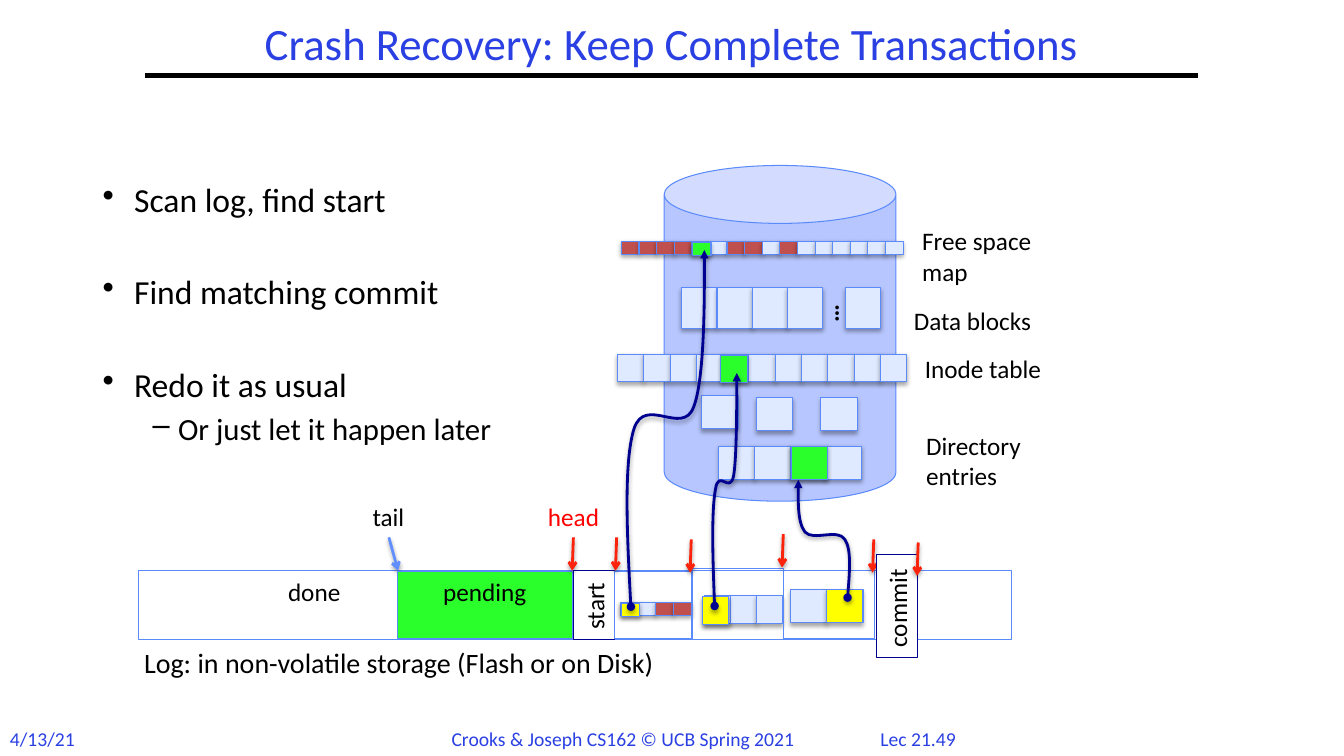
from lxml import etree
from pptx import Presentation
from pptx.dml.color import RGBColor
from pptx.enum.shapes import MSO_CONNECTOR, MSO_SHAPE
from pptx.enum.text import MSO_ANCHOR, PP_ALIGN
from pptx.oxml.ns import qn
from pptx.util import Cm, Pt

RECT, CAN = MSO_SHAPE.RECTANGLE, MSO_SHAPE.CAN
STRAIGHT = MSO_CONNECTOR.STRAIGHT
LEFT, CENTER = PP_ALIGN.LEFT, PP_ALIGN.CENTER
MIDDLE = MSO_ANCHOR.MIDDLE

BLACK = RGBColor(0x00, 0x00, 0x00)
WHITE = RGBColor(0xFF, 0xFF, 0xFF)
TITLE_BLUE = RGBColor(0x2A, 0x40, 0xE2)
DISK_BLUE = RGBColor(0xB7, 0xC6, 0xFE)
EDGE_BLUE = RGBColor(0x5B, 0x8A, 0xFB)
TAIL_BLUE = RGBColor(0x61, 0x8F, 0xFD)
NAVY = RGBColor(0x00, 0x00, 0x90)
PALE = RGBColor(0xDF, 0xE9, 0xFF)
BRICK = RGBColor(0xC0, 0x50, 0x4D)
GREEN = RGBColor(0x2B, 0xFF, 0x2B)
YELLOW = RGBColor(0xFF, 0xFF, 0x00)
RED = RGBColor(0xFF, 0x00, 0x00)
ARROW_RED = RGBColor(0xFC, 0x23, 0x0C)


def write(tf, text, size=18, color=BLACK, bold=False, align=LEFT, wrap=False, spacing=None):
    tf.word_wrap = wrap
    for i, line in enumerate(text.split("\n")):
        p = tf.add_paragraph() if i else tf.paragraphs[0]
        p.alignment = align
        p.line_spacing = spacing
        r = p.add_run()
        r.text = line
        r.font.name = "Calibri"
        r.font.size = Pt(size)
        r.font.bold = bold
        r.font.color.rgb = color


def add_label(sp, text, left, top, width, height=1.02, rotation=0, **fmt):
    s = sp.add_textbox(Cm(left), Cm(top), Cm(width), Cm(height))
    s.rotation = rotation
    write(s.text_frame, text, **fmt)
    return s


def add_shadow(s):
    spPr = s._element.spPr
    effects = spPr.find(qn("a:effectLst"))
    if effects is None:
        effects = etree.SubElement(spPr, qn("a:effectLst"))
    shadow = etree.SubElement(effects, qn("a:outerShdw"), blurRad="40000",
                              dist="23000", dir="5400000", rotWithShape="0")
    color = etree.SubElement(shadow, qn("a:srgbClr"), val=str(BLACK))
    etree.SubElement(color, qn("a:alpha"), val="35000")


def add_box(sp, left, top, width, height, fill=None, line=EDGE_BLUE, kind=RECT):
    s = sp.add_shape(kind, Cm(left), Cm(top), Cm(width), Cm(height))
    s.shadow.inherit = False
    if fill is None:
        s.fill.background()
    else:
        s.fill.solid()
        s.fill.fore_color.rgb = fill
    s.line.color.rgb = line
    s.line.width = Pt(0.75)
    return s


def add_cell(sp, left, top, width, height, fill=PALE):
    add_shadow(add_box(sp, left, top, width, height, fill))


def add_row(sp, left, top, width, height, fills):
    step = width / len(fills)
    for i, fill in enumerate(fills):
        add_cell(sp, left + i * step, top, step, height, fill)


def add_tag(sp, text, left, top, width):
    s = add_box(sp, left, top, width, 1.02, WHITE, NAVY)
    s.rotation = 270
    write(s.text_frame, text)


def set_ends(s, **ends):
    ln = s.line._get_or_add_ln()
    for name, kind in ends.items():
        etree.SubElement(ln, qn(f"a:{name}"), type=kind)


def add_line(sp, x1, y1, x2, y2, color, width):
    s = sp.add_connector(STRAIGHT, Cm(x1), Cm(y1), Cm(x2), Cm(y2))
    s.line.color.rgb = color
    s.line.width = Pt(width)
    etree.SubElement(s._element.spPr, qn("a:effectLst"))
    return s


def add_arrow(sp, x, y, dx=-0.03, color=ARROW_RED):
    s = add_line(sp, x, y, x + dx, y + 0.84, color, 2)
    set_ends(s, tailEnd="arrow")
    add_shadow(s)


def add_curve(sp, points):
    start, *rest = [(Cm(x), Cm(y)) for x, y in points]
    builder = sp.build_freeform(*start)
    builder.add_line_segments(rest, close=False)
    s = builder.convert_to_shape()
    segments = list(s._element.spPr.iter(qn("a:lnTo")))
    outline = segments[0].getparent()
    for i in range(0, len(segments), 3):
        bezier = etree.SubElement(outline, qn("a:cubicBezTo"))
        for segment in segments[i:i + 3]:
            bezier.append(segment[0])
            outline.remove(segment)
    s.fill.background()
    s.line.color.rgb = NAVY
    s.line.width = Pt(2)
    set_ends(s, headEnd="oval", tailEnd="triangle")
    s.shadow.inherit = False
    add_shadow(s)


def add_steps(sp):
    steps = "Scan log, find start\nFind matching commit\nRedo it as usual\nOr just let it happen later"
    s = add_label(sp, steps, 2.34, 4.5, 19.02, 8.46, size=24, wrap=True, spacing=0.9)
    paragraphs = s.text_frame.paragraphs
    paragraphs[3].level = 1
    paragraphs[3].runs[0].font.size = Pt(22)
    layout = [(0, 0.79, 0.79, "•"), (40, 0.79, 0.79, "•"), (40, 0.79, 0.79, "•"), (6.6, 1.9, 0.64, "–")]
    for p, (before, margin, hang, bullet) in zip(paragraphs, layout):
        p.space_before = Pt(before)
        pPr = p._p.get_or_add_pPr()
        pPr.set("marL", str(Cm(margin)))
        pPr.set("indent", str(-Cm(hang)))
        etree.SubElement(pPr, qn("a:buChar"), char=bullet)


def add_disk(sp):
    add_box(sp, 16.74, 4.17, 5.84, 8.46, DISK_BLUE, kind=CAN)
    add_label(sp, "Free space map", 22.99, 5.56, 3.58, 2.57, wrap=True)
    add_label(sp, "Data blocks", 22.78, 7.57, 3.86)
    add_label(sp, "Inode table", 23.06, 8.79, 3.68)
    add_label(sp, "Directory\nentries", 23.09, 10.72, 3.07, 1.8)
    add_row(sp, 17.18, 7.25, 3.56, 1.02, [PALE] * 4)
    add_cell(sp, 21.3, 7.25, 0.89, 1.02)
    add_label(sp, "…", 20.32, 7.29, 1.14, rotation=270, bold=True)
    free_map = [BRICK] * 4 + [PALE] * 2 + [BRICK] * 2 + [PALE, BRICK] + [PALE] * 6
    add_row(sp, 15.66, 6.08, 7.1, 0.33, free_map)
    add_row(sp, 15.56, 8.93, 7.29, 0.69, [PALE] * 11)
    add_row(sp, 18.12, 11.24, 3.59, 0.84, [PALE] * 4)
    for left, top in [(17.69, 9.97), (19.06, 10.02), (20.69, 10.02)]:
        add_cell(sp, left, top, 0.91, 0.84)
    add_cell(sp, 17.46, 6.11, 0.46, 0.33, GREEN)
    add_cell(sp, 18.17, 8.95, 0.66, 0.69, GREEN)
    add_cell(sp, 19.95, 11.24, 0.91, 0.84, GREEN)


def add_log(sp):
    add_box(sp, 3.48, 14.38, 22.02, 1.73)
    add_label(sp, "Log: in non-volatile storage (Flash or on Disk)", 3.38, 16.15, 14.88, 1.12, size=20)
    add_label(sp, "head", 13.56, 12.52, 1.93, color=RED)
    add_label(sp, "tail", 9.14, 12.52, 1.32)
    add_arrow(sp, 9.8, 13.54, 0.23, TAIL_BLUE)
    add_box(sp, 10.03, 14.4, 4.39, 1.7, GREEN)
    add_label(sp, "pending", 10.92, 14.4, 2.79)
    add_label(sp, "done", 7.01, 14.4, 1.93)
    add_tag(sp, "start", 14.1, 14.73, 1.75)
    add_row(sp, 15.63, 15.18, 1.8, 0.33, [PALE, PALE, BRICK, BRICK])
    add_cell(sp, 15.66, 15.2, 0.46, 0.33, YELLOW)
    add_row(sp, 17.75, 15.01, 1.98, 0.71, [PALE] * 3)
    add_cell(sp, 17.7, 15.04, 0.66, 0.71, YELLOW)
    add_row(sp, 19.93, 14.86, 1.82, 0.84, [PALE, YELLOW])
    add_box(sp, 15.49, 14.4, 1.93, 1.7)
    add_box(sp, 17.45, 14.33, 2.29, 1.78)
    add_box(sp, 19.74, 14.38, 2.29, 1.7)
    for x, y in [(14.45, 13.54), (15.54, 13.54), (17.42, 13.59), (19.74, 13.46), (22.02, 13.59)]:
        add_arrow(sp, x, y)
    add_tag(sp, "commit", 21.31, 14.76, 2.59)
    add_arrow(sp, 23.14, 13.67)


def add_redo_curves(sp):
    to_free_map = [(15.9, 15.29), (15.8, 13.46), (15.72, 11.63), (15.98, 10.8), (16.26, 9.96),
                   (17.2, 11), (17.48, 10.26), (17.78, 9.5), (17.75, 6.3), (17.75, 6.3)]
    to_inode = [(18.01, 15.27), (17.96, 14.07), (17.93, 12.88), (18.03, 12.34), (18.11, 11.79),
                (18.39, 12.47), (18.49, 11.99), (18.57, 11.51), (18.57, 9.4), (18.57, 9.4)]
    to_directory = [(21.36, 15.06), (21.41, 14.45), (21.46, 13.84), (21.29, 13.59), (21.11, 13.31),
                    (20.5, 13.64), (20.29, 13.41), (20.09, 13.16), (20.12, 12.09), (20.12, 12.09)]
    for points in (to_free_map, to_inode, to_directory):
        add_curve(sp, points)


def main():
    prs = Presentation()
    prs.slide_width, prs.slide_height = Cm(33.87), Cm(19.05)
    slide = prs.slides.add_slide(prs.slide_layouts[5])
    sp = slide.shapes
    title = sp.title
    title.left, title.top, title.width, title.height = Cm(3.66), Cm(0.43), Cm(26.52), Cm(1.47)
    title.text_frame.vertical_anchor = MIDDLE
    write(title.text_frame, "Crash Recovery: Keep Complete Transactions", size=32,
          color=TITLE_BLUE, align=CENTER, wrap=True, spacing=0.9)
    add_line(sp, 3.66, 1.9, 30.2, 1.9, BLACK, 3)
    add_steps(sp)
    add_disk(sp)
    add_log(sp)
    add_redo_curves(sp)
    footer = {"size": 14, "color": TITLE_BLUE}
    add_label(sp, "4/13/21", 0, 18.19, 2.3, 0.86, **footer)
    add_label(sp, "Crooks & Joseph CS162 © UCB Spring 2021", 11.13, 18.19, 9.55, 0.86, **footer)
    add_label(sp, "Lec 21.49", 21.59, 18.19, 3.1, 0.86, align=CENTER, **footer)
    prs.save("out.pptx")


if __name__ == "__main__":
    main()
